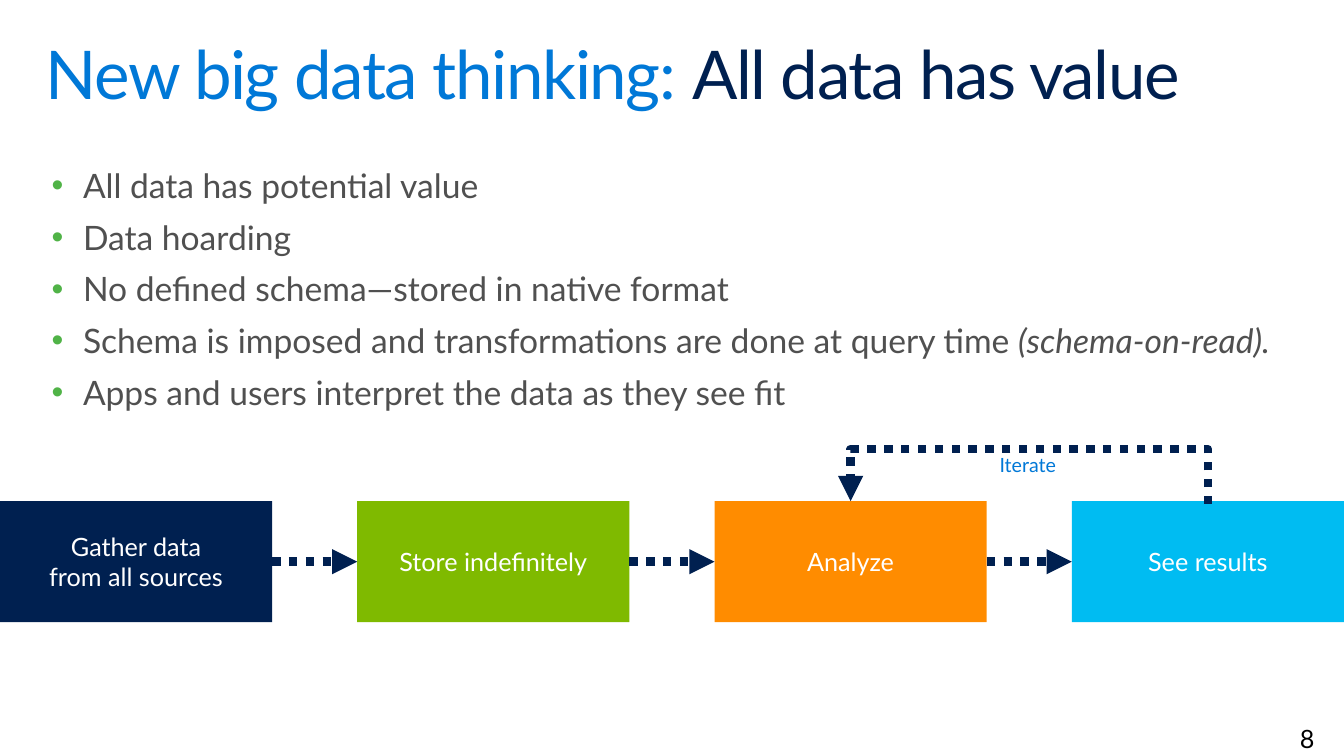
from lxml import etree
from pptx import Presentation
from pptx.dml.color import RGBColor
from pptx.enum.dml import MSO_LINE
from pptx.enum.shapes import MSO_CONNECTOR, MSO_SHAPE
from pptx.enum.text import MSO_ANCHOR, MSO_AUTO_SIZE, PP_ALIGN
from pptx.oxml.ns import qn
from pptx.util import Pt

LEFT, CENTER, RIGHT = PP_ALIGN.LEFT, PP_ALIGN.CENTER, PP_ALIGN.RIGHT
TOP, MIDDLE = MSO_ANCHOR.TOP, MSO_ANCHOR.MIDDLE
STRAIGHT, ELBOW = MSO_CONNECTOR.STRAIGHT, MSO_CONNECTOR.ELBOW
RIGHT_SIDE, LEFT_SIDE = 3, 1

COLORS = {
    "navy": "002050", "blue": "0078D7", "green": "7FBA00", "orange": "FF8C00",
    "sky": "00BCF2", "gray": "505050", "bullet": "50B347",
    "white": "FFFFFF", "black": "000000",
}
SLIDE_WIDTH, SLIDE_HEIGHT = 960, 540
STEPS = [
    ("Gather data\vfrom all sources", "navy"),
    ("Store indefinitely", "green"),
    ("Analyze", "orange"),
    ("See results", "sky"),
]
STEP_TOP, STEP_WIDTH, STEP_HEIGHT = 358, 194.4, 86.4
STEP_PITCH = (SLIDE_WIDTH - STEP_WIDTH) / (len(STEPS) - 1)
LOOP_START, LOOP_TOP = 360, 321
BULLETS = [
    [("All data has potential value", {})],
    [("Data hoarding", {})],
    [("No defined schema—stored in native format", {})],
    [("Schema is imposed and transformations are done at query time ", {}),
     ("(schema-on-read).", {"italic": True})],
    [("Apps and users interpret the data as they see fit", {})],
]


def set_format(target, values):
    for name, value in values.items():
        setattr(target, name, value)


def color(name):
    return RGBColor.from_string(COLORS[name])


class SlideBuilder:
    font_name = "Lato"

    def __init__(self, slide):
        self.slide = slide

    def place(self, shape, left, top, width, height):
        set_format(shape, {"left": Pt(left), "top": Pt(top),
                           "width": Pt(width), "height": Pt(height)})

    def frame(self, shape, margins, anchor=TOP, wrap=True):
        """Format the text frame; margins run left, top, right, bottom."""
        left, top, right, bottom = map(Pt, margins)
        set_format(shape.text_frame, {
            "margin_left": left, "margin_top": top, "margin_right": right,
            "margin_bottom": bottom, "vertical_anchor": anchor,
            "word_wrap": wrap, "auto_size": MSO_AUTO_SIZE.NONE})
        return shape.text_frame

    def run(self, paragraph, text, size, color_name, **extra):
        """Add styled text, with a line break at each vertical tab."""
        for index, line in enumerate(text.split("\v")):
            if index:
                paragraph.add_line_break()
            run = paragraph.add_run()
            run.text = line
            set_format(run.font, {"name": self.font_name, "size": Pt(size), **extra})
            run.font.color.rgb = color(color_name)
        return run

    def title(self, parts):
        shape = self.slide.shapes.title
        self.place(shape, 21, 22.5, 917, 73)
        paragraph = self.frame(shape, (11.5, 7.2, 11.5, 7.2)).paragraphs[0]
        set_format(paragraph, {"alignment": LEFT, "line_spacing": 0.9})
        for text, color_name in parts:
            run = self.run(paragraph, text, 48, color_name)
            run.font._element.set("spc", "-100")

    def bullets(self, items):
        shape = self.slide.placeholders[1]
        self.place(shape, 32.5, 118, 911.5, 178)
        frame = self.frame(shape, (0, 0, 0, 0))
        for index, item in enumerate(items):
            paragraph = frame.add_paragraph() if index else frame.paragraphs[0]
            self.bullet_mark(paragraph)
            set_format(paragraph, {"alignment": LEFT, "space_after": Pt(6),
                                   "space_before": Pt(2 if index else 0)})
            for text, extra in item:
                self.run(paragraph, text, 24, "gray", **extra)

    def bullet_mark(self, paragraph):
        properties = paragraph._p.get_or_add_pPr()
        properties.set("marL", str(Pt(26.8)))
        properties.set("indent", str(Pt(-22.4)))
        bullet_color = etree.SubElement(properties, qn("a:buClr"))
        etree.SubElement(bullet_color, qn("a:srgbClr"), val=COLORS["bullet"])
        etree.SubElement(properties, qn("a:buFont"), typeface="Arial")
        etree.SubElement(properties, qn("a:buChar"), char="•")
        tabs = etree.SubElement(properties, qn("a:tabLst"))
        etree.SubElement(tabs, qn("a:tab"), pos=str(Pt(52)), algn="l")

    def box(self, text, fill, left, top, width, height):
        shape = self.slide.shapes.add_shape(
            MSO_SHAPE.RECTANGLE, Pt(left), Pt(top), Pt(width), Pt(height))
        shape.shadow.inherit = False
        shape.fill.solid()
        shape.fill.fore_color.rgb = color(fill)
        shape.line.fill.background()
        paragraph = self.frame(shape, (7.2,) * 4, MIDDLE).paragraphs[0]
        paragraph.alignment = CENTER
        self.run(paragraph, text, 18, "white")
        return shape

    def label(self, text, bounds, size, color_name, alignment=LEFT, **frame_values):
        shape = self.slide.shapes.add_textbox(*map(Pt, bounds))
        paragraph = self.frame(shape, **frame_values).paragraphs[0]
        paragraph.alignment = alignment
        self.run(paragraph, text, size, color_name)

    def arrow(self, kind, *ends):
        connector = self.slide.shapes.add_connector(kind, *map(Pt, ends))
        set_format(connector.line, {"width": Pt(6), "dash_style": MSO_LINE.ROUND_DOT})
        connector.line.color.rgb = color("navy")
        etree.SubElement(connector.line._get_or_add_ln(), qn("a:tailEnd"), type="triangle")
        etree.SubElement(connector._element.spPr, qn("a:effectLst"))
        return connector

    def join(self, first, second):
        connector = self.arrow(STRAIGHT, 0, 0, 0, 0)
        connector.begin_connect(first, RIGHT_SIDE)
        connector.end_connect(second, LEFT_SIDE)

    def loop_back(self, start_x, start_y, end_x, end_y, top):
        """Draw an elbow arrow that rises to top, runs left and drops to its end."""
        middle_x, middle_y = (start_x + end_x) / 2, (start_y + end_y) / 2
        drop, span = start_y - end_y, start_x - end_x
        # The elbow is laid out on its side, then turned by 270 degrees.
        connector = self.arrow(ELBOW, middle_x - drop / 2, middle_y + span / 2,
                               middle_x + drop / 2, middle_y - span / 2)
        properties = connector._element.spPr
        properties.find(qn("a:xfrm")).set("rot", str(270 * 60000))
        adjustments = properties.find(qn("a:prstGeom")).find(qn("a:avLst"))
        rise = round((start_y - top) / drop * 100000)
        etree.SubElement(adjustments, qn("a:gd"), name="adj1", fmla=f"val {rise}")


def main():
    presentation = Presentation()
    set_format(presentation, {"slide_width": Pt(SLIDE_WIDTH), "slide_height": Pt(SLIDE_HEIGHT)})
    builder = SlideBuilder(presentation.slides.add_slide(presentation.slide_layouts[1]))

    builder.title([("New big data thinking: ", "blue"), ("All data has value", "navy")])
    builder.bullets(BULLETS)

    boxes = [builder.box(text, fill, index * STEP_PITCH, STEP_TOP, STEP_WIDTH, STEP_HEIGHT)
             for index, (text, fill) in enumerate(STEPS)]
    for first, second in zip(boxes, boxes[1:]):
        builder.join(first, second)

    analyze_x, results_x = (index * STEP_PITCH + STEP_WIDTH / 2 for index in (2, 3))
    builder.loop_back(results_x, LOOP_START, analyze_x, STEP_TOP, LOOP_TOP)
    builder.label("Iterate", (714, 323.5, 42, 36), 14, "blue",
                  margins=(0, 0, 0, 0), wrap=False)
    builder.label("8", (895, 522, 44, 11), 18, "black", RIGHT,
                  margins=(7.2, 0, 0, 0), anchor=MIDDLE)
    presentation.save("out.pptx")


if __name__ == "__main__":
    main()
